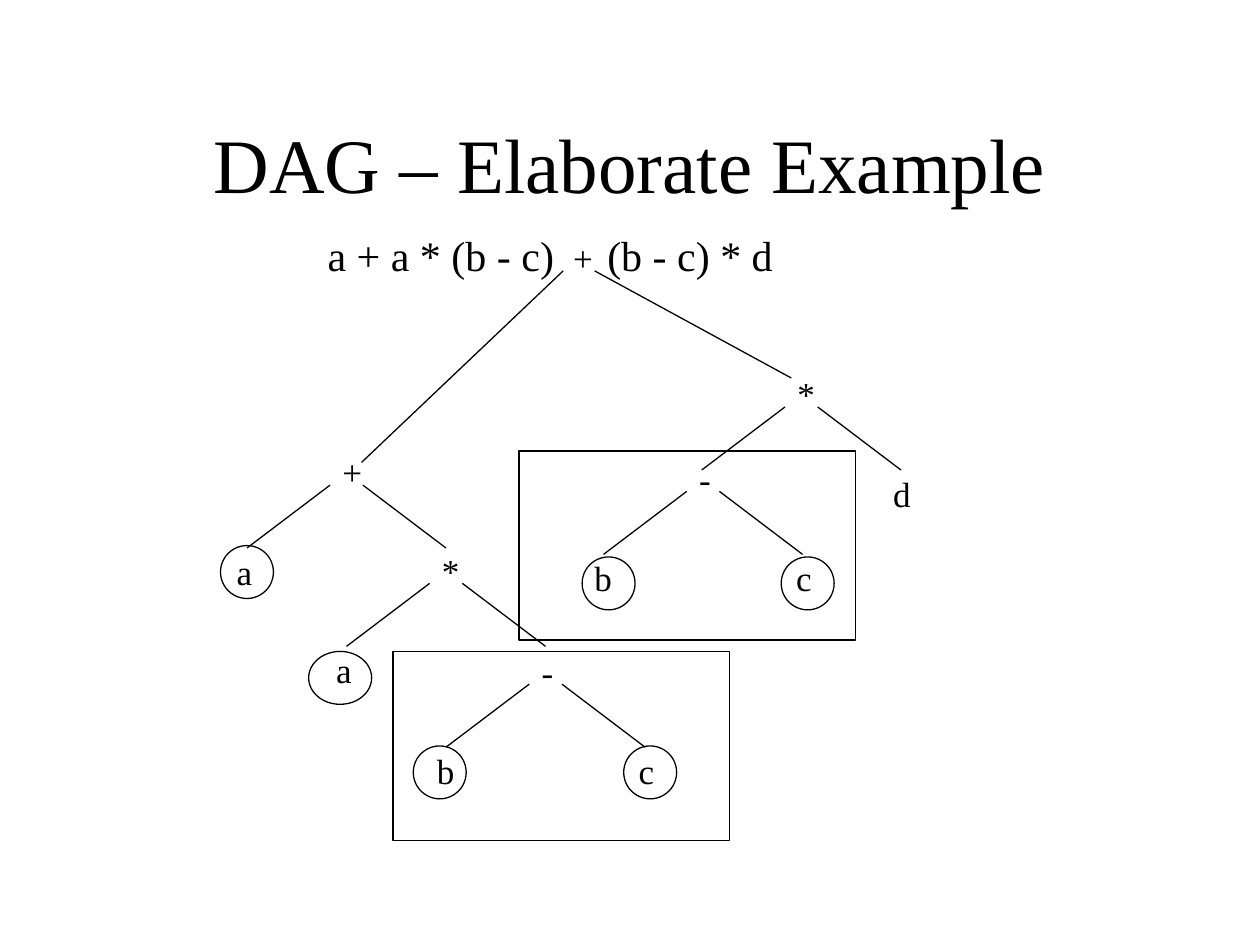
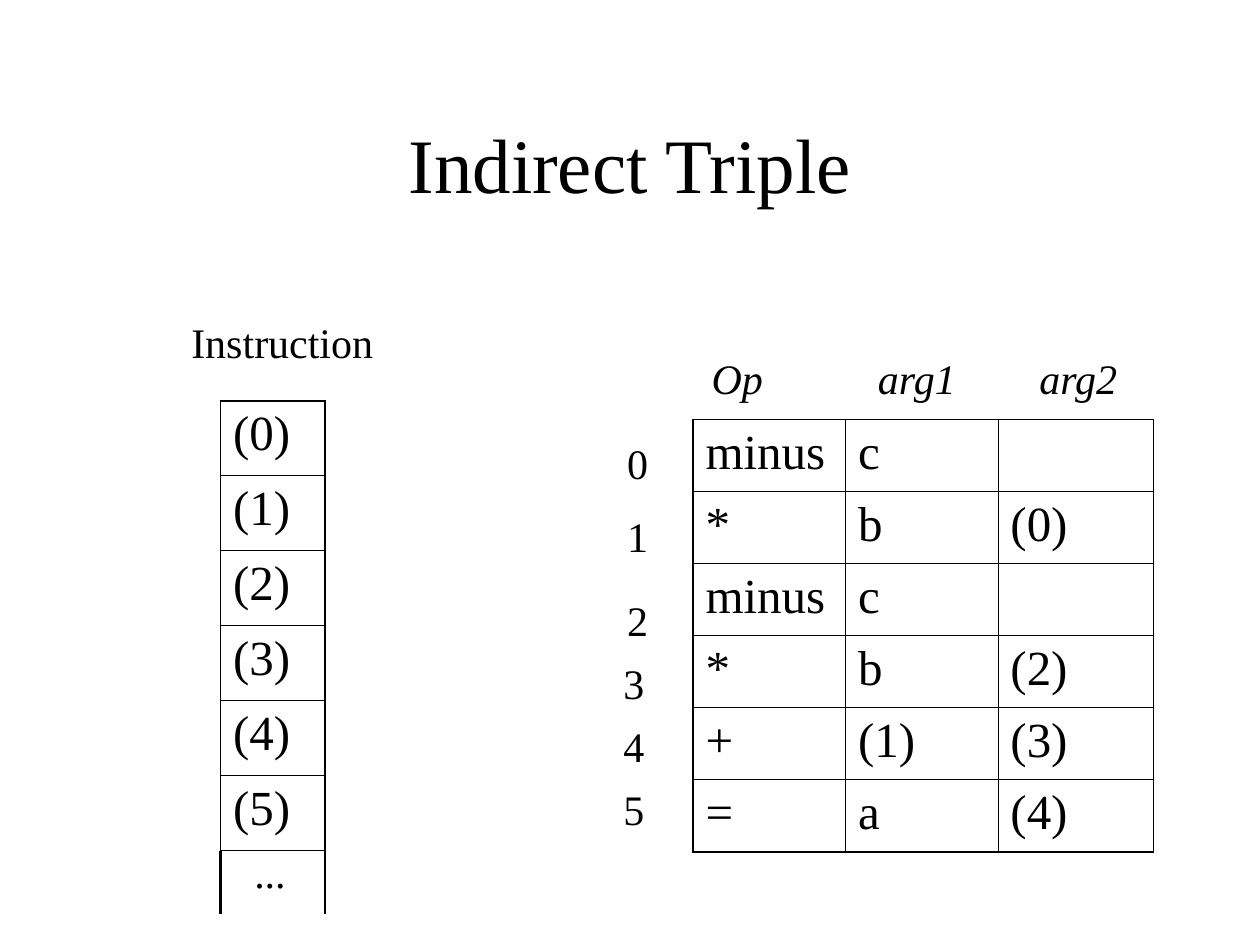
from lxml import etree
from pptx import Presentation
from pptx import util as u
from pptx.dml.color import RGBColor
from pptx.enum import shapes, text
from pptx.oxml.ns import qn

FONT = "Times New Roman"
INK = "000000"
PAPER = "FFFFFF"
THIN, THICK = 0.45, 1.08  # table border widths in points


def colour(value):
    return RGBColor.from_string(value)


def write(frame, content, size=20, italic=False, align=text.PP_ALIGN.LEFT, tabs=()):
    """Fill a text frame with one formatted paragraph; tabs are in inches."""
    paragraph = frame.paragraphs[0]
    paragraph.alignment = align
    if tabs:
        tab_list = etree.SubElement(paragraph._p.get_or_add_pPr(), qn("a:tabLst"))
        for position in tabs:
            etree.SubElement(tab_list, qn("a:tab"), pos=str(u.Inches(position)), algn="l")
    run = paragraph.add_run()
    run.text = content
    run.font.name = FONT
    run.font.size = u.Pt(size)
    run.font.italic = italic
    run.font.color.rgb = colour(INK)


def add_label(slide, content, left, top, width=0.36, height=0.44, **format):
    box = slide.shapes.add_textbox(
        u.Inches(left), u.Inches(top), u.Inches(width), u.Inches(height))
    box.text_frame.word_wrap = True
    write(box.text_frame, content, **format)
    return box


def add_line(slide, start, end, width=0.75):
    line = slide.shapes.add_connector(
        shapes.MSO_CONNECTOR.STRAIGHT, *(u.Inches(n) for n in (*start, *end)))
    line.line.color.rgb = colour(INK)
    line.line.width = u.Pt(width)
    etree.SubElement(line._element.spPr, qn("a:effectLst"))


def add_outline(slide, kind, left, top, width, height):
    shape = slide.shapes.add_shape(
        kind, u.Inches(left), u.Inches(top), u.Inches(width), u.Inches(height))
    shape.shadow.inherit = False
    shape.fill.background()
    shape.line.color.rgb = colour(INK)
    shape.line.width = u.Pt(0.75)


def add_operator(slide, symbol, centre, fork_top):
    """Draw an operator node with its two symmetrical branches."""
    add_label(slide, symbol, centre - 0.13, fork_top - 0.32)
    for side in (-1, 1):
        add_line(slide, (centre + side * 0.13, fork_top),
                 (centre + side * 0.79, fork_top + 0.5))


def set_border(cell, widths):
    """Set left, right, top and bottom border widths, in that order."""
    properties = cell._tc.get_or_add_tcPr()
    for index, (edge, width) in enumerate(zip("LRTB", widths)):
        border = etree.Element(qn(f"a:ln{edge}"), w=str(u.Pt(width)))
        fill = etree.SubElement(border, qn("a:solidFill"))
        etree.SubElement(fill, qn("a:srgbClr"), val=INK)
        properties.insert(index, border)


def add_grid(slide, rows, left, top, column_widths, row_height, right_edge):
    frame = slide.shapes.add_table(
        len(rows), len(column_widths), u.Inches(left), u.Inches(top),
        u.Inches(sum(column_widths)), u.Inches(row_height * len(rows)))
    table = frame.table
    table.first_row = table.horz_banding = False
    for column, width in zip(table.columns, column_widths):
        column.width = u.Inches(width)
    last_row, last_column = len(rows) - 1, len(column_widths) - 1
    for r, values in enumerate(rows):
        table.rows[r].height = u.Inches(row_height)
        for c, value in enumerate(values):
            cell = table.cell(r, c)
            cell.fill.background()
            set_border(cell, (THICK if c == 0 else THIN,
                              right_edge if c == last_column else THIN,
                              THICK if r == 0 else THIN,
                              THICK if r == last_row else THIN))
            if value:
                write(cell.text_frame, value, size=28)


def add_titled_slide(presentation, heading):
    slide = presentation.slides.add_slide(presentation.slide_layouts[5])
    slide.background.fill.solid()
    slide.background.fill.fore_color.rgb = colour(PAPER)
    title = slide.shapes.title
    title.left, title.top = u.Inches(0.75), u.Inches(0.67)
    title.width, title.height = u.Inches(8.5), u.Inches(1.25)
    title.text_frame.vertical_anchor = text.MSO_ANCHOR.MIDDLE
    write(title.text_frame, heading, size=44, align=text.PP_ALIGN.CENTER)
    return slide


def build_dag(presentation):
    slide = add_titled_slide(presentation, "DAG – Elaborate Example")

    # Expression, whose middle plus sign is the root of the tree
    expression = add_label(slide, "a + a * (b - c)\t(b - c) * d", 2, 1.77,
                           4.33, 0.9, size=24, tabs=[2.22])
    expression.text_frame.margin_left = u.Inches(0.6)
    add_label(slide, "+", 4.45, 1.83)
    add_line(slide, (4.47, 2.15), (2.87, 3.67))
    add_line(slide, (4.72, 2.15), (6.28, 3))

    # Inner nodes: symbol, centre, top of the branches
    for operator in [("+", 2.75, 3.85), ("*", 3.54, 4.63), ("-", 4.33, 5.43),
                     ("*", 6.36, 3.23), ("-", 5.58, 3.9)]:
        add_operator(slide, *operator)

    # Leaves: name, label position, then circle position and width
    for name, left, top, circle_left, circle_top, width in [
            ("a", 1.78, 4.32, 1.75, 4.33, 0.42),
            ("a", 2.57, 5.1, 2.45, 5.17, 0.5),
            ("b", 3.37, 5.9, 3.28, 5.92, 0.42),
            ("c", 4.97, 5.9, 4.95, 5.92, 0.42),
            ("b", 4.62, 4.37, 4.62, 4.42, 0.42),
            ("c", 6.22, 4.37, 6.2, 4.42, 0.42)]:
        add_label(slide, name, left, top)
        add_outline(slide, shapes.MSO_SHAPE.OVAL, circle_left, circle_top, width, 0.42)
    add_label(slide, "d", 6.99, 3.7)

    # Frames around the common subexpression
    for left, top in [(3.12, 5.17), (4.12, 3.58)]:
        add_outline(slide, shapes.MSO_SHAPE.RECTANGLE, left, top, 2.67, 1.5)


def build_indirect_triple(presentation):
    slide = add_titled_slide(presentation, "Indirect Triple")

    # Triples with column headings and row numbers
    triples = [("minus", "c", ""), ("*", "b", "(0)"), ("minus", "c", ""),
               ("*", "b", "(2)"), ("+", "(1)", "(3)"), ("=", "a", "(4)")]
    add_grid(slide, triples, 5.5, 3.33, [1.21, 1.21, 1.23], 3.43 / 6, THIN)
    add_label(slide, "Op\targ1\targ2", 5.55, 2.75, 3.6, 0.5,
              size=24, italic=True, tabs=[1.32, 2.6])
    for number, top in enumerate([3.42, 4, 4.67, 5.17, 5.67, 6.17]):
        add_label(slide, str(number), 4.88 if number < 3 else 4.85, top,
                  height=0.5, size=24)

    # Instruction list, open at the bottom
    add_label(slide, "Instruction", 1.42, 2.46, 1.7, 0.5, size=24)
    instructions = [(f"({number})",) for number in range(6)]
    add_grid(slide, instructions, 1.75, 3.18, [0.83], 3.57 / 6, THICK)
    for x, width in [(2.58, 1), (1.75, 1.5)]:
        add_line(slide, (x, 6.75), (x, 7.25), width)
    add_label(slide, "...", 1.92, 6.67, 0.5, 0.5, size=24)


def main():
    presentation = Presentation()
    presentation.slide_width = u.Inches(10)
    presentation.slide_height = u.Inches(7.5)
    build_dag(presentation)
    build_indirect_triple(presentation)
    presentation.save("out.pptx")


if __name__ == "__main__":
    main()
